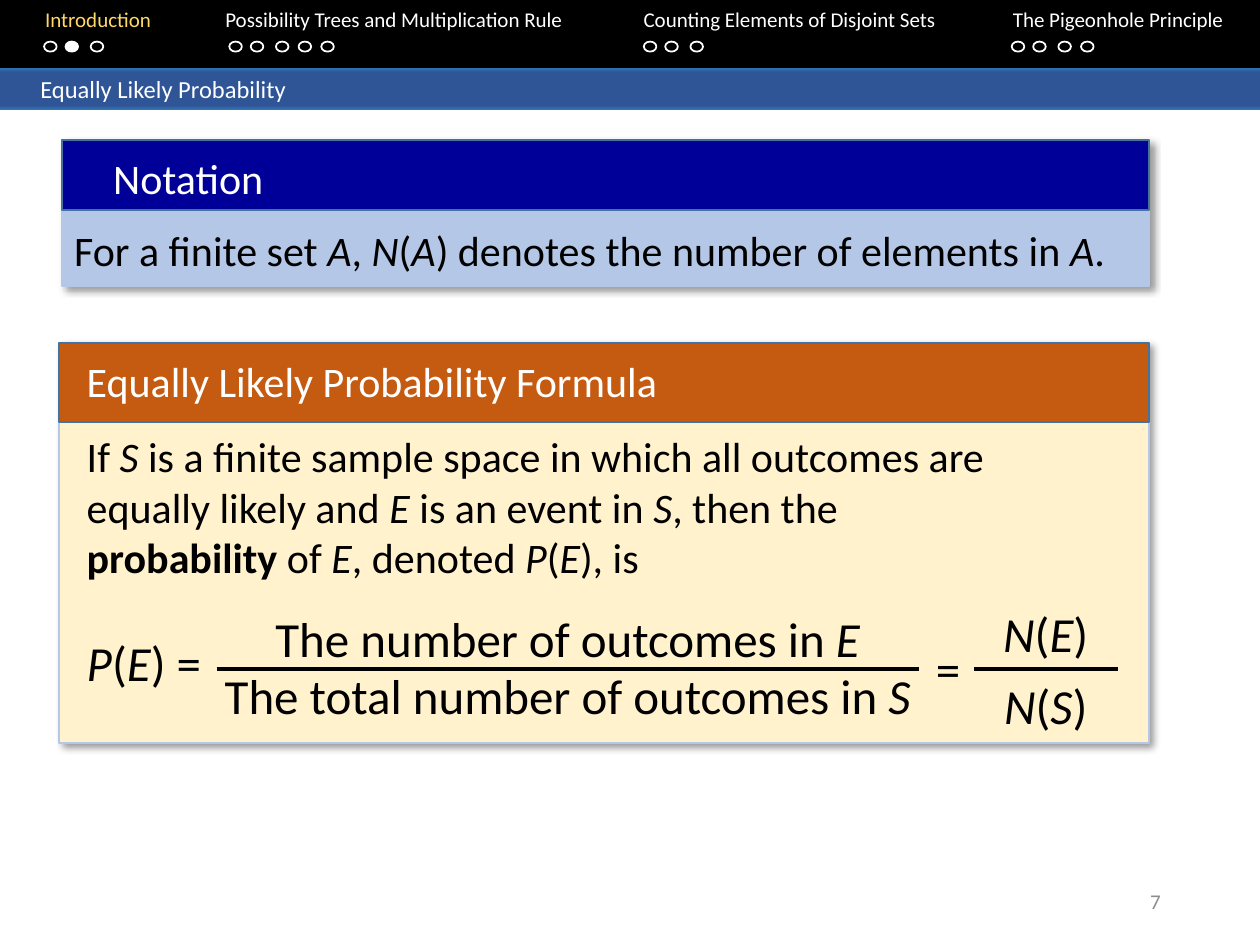
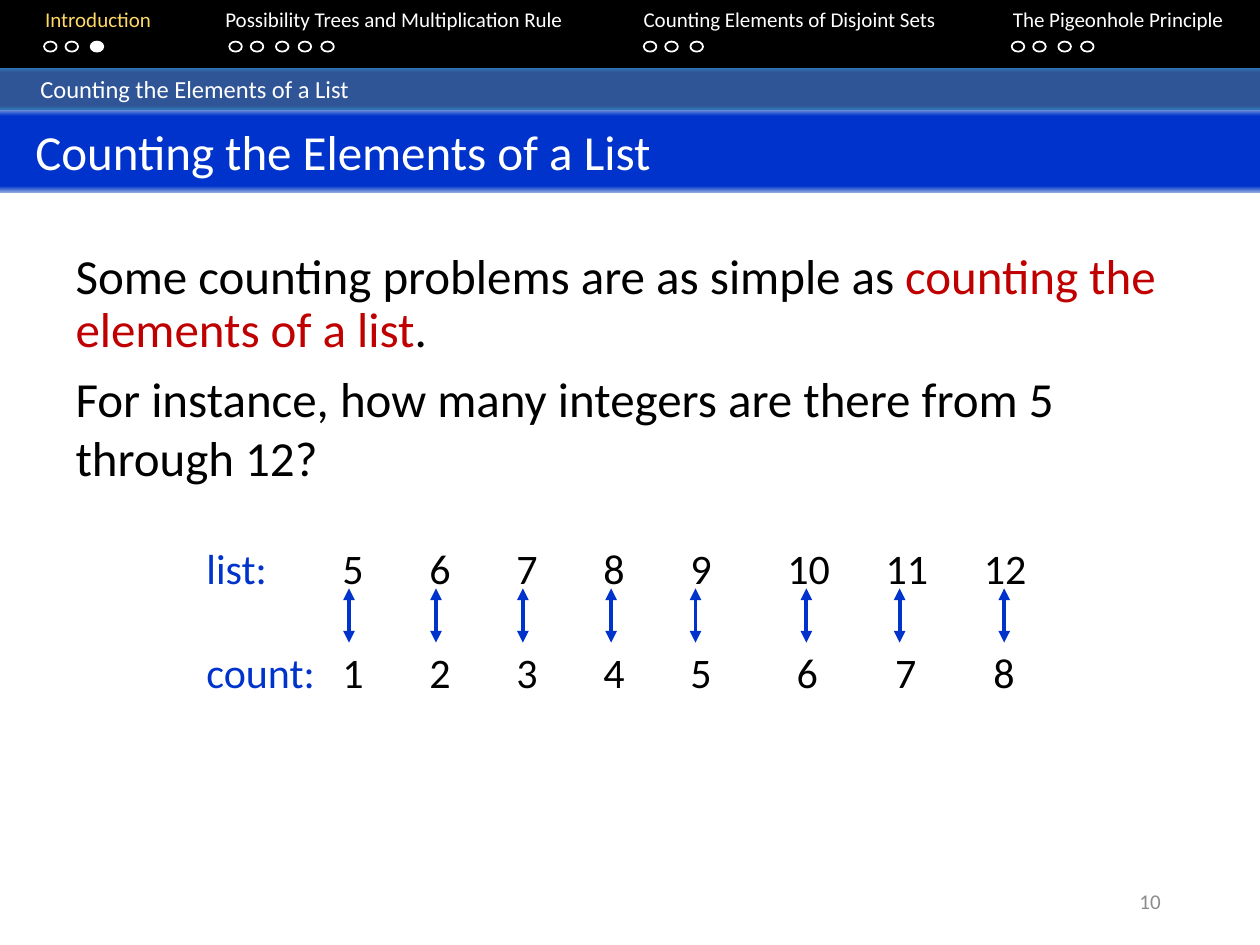
import pptx
import pptx.util
import pptx.dml.color
import pptx.enum.shapes
import pptx.enum.text
import pptx.oxml.ns
from lxml import etree

Inches, Pt = pptx.util.Inches, pptx.util.Pt
qn = pptx.oxml.ns.qn
Align = pptx.enum.text.PP_ALIGN
Anchor = pptx.enum.text.MSO_ANCHOR
Kind = pptx.enum.shapes.MSO_SHAPE
FONT = "Calibri"
HUES = {
    "black": "000000", "white": "FFFFFF", "gold": "FFD966", "gray": "8C8C8C",
    "edge": "2E75B6", "band": "2F5597", "glow": "8FAADC", "blue": "0033CC",
    "pale": "B4C7E7", "navy": "000099", "rim": "43739E", "cream": "FFF2CC",
    "rust": "C55A11", "red": "C00000",
}
PARTS = [
    ("~Introduction~", 0.26, 0.35, 3),
    ("Possibility Trees and Multiplication Rule", 1.69, 1.82, 5),
    ("Counting Elements of Disjoint Sets", 5.01, 5.11, 3),
    ("The Pigeonhole Principle", 7.94, 8.03, 4),
]
STEPS = [0, 0.17, 0.37, 0.55, 0.73]


def hue(name):
    """Return the named colour."""
    return pptx.dml.color.RGBColor.from_string(HUES[name])


def node(parent, tag, **attrs):
    """Append an XML child with the given attributes."""
    return etree.SubElement(parent, qn(tag), {k: str(v) for k, v in attrs.items()})


def place(shape, box):
    """Move a shape to a box given in inches."""
    shape.left, shape.top, shape.width, shape.height = map(Inches, box)


def write(par, text, size, color="black", accent=None, align=Align.LEFT, stops=()):
    """Fill a paragraph; *text* is italic, ~text~ is accented or bold."""
    par.alignment = align
    par.font.name, par.font.size = FONT, Pt(size)
    par.font.color.rgb = hue(color)
    for j, chunk in enumerate(text.split("~")):
        for i, piece in enumerate(chunk.split("*")):
            if not piece:
                continue
            run = par.add_run()
            run.text = piece
            if i % 2:
                run.font.italic = True
            if j % 2 and accent:
                run.font.color.rgb = hue(accent)
            elif j % 2:
                run.font.bold = True
    if stops:
        tabs = etree.Element(qn("a:tabLst"))
        for stop in stops:
            node(tabs, "a:tab", pos=Inches(stop), algn="l")
        props = par._p.get_or_add_pPr()
        props.insert(list(props).index(props.find(qn("a:defRPr"))), tabs)


def label(slide, box, text, size, color="black", **style):
    """Add a text box and return its frame."""
    frame = slide.shapes.add_textbox(*map(Inches, box)).text_frame
    frame.word_wrap = True
    write(frame.paragraphs[0], text, size, color, **style)
    return frame


def block(slide, box, fill=None, line=None, kind=Kind.RECTANGLE):
    """Add a plain preset shape."""
    shape = slide.shapes.add_shape(kind, *map(Inches, box))
    shape.shadow.inherit = False
    if fill:
        shape.fill.solid()
        shape.fill.fore_color.rgb = hue(fill)
    else:
        shape.fill.background()
    if line:
        shape.line.color.rgb = hue(line)
        shape.line.width = Pt(1)
    else:
        shape.line.fill.background()
    return shape


def shade(shape):
    """Cast a soft shadow to the lower right."""
    effects = shape._element.spPr.find(qn("a:effectLst"))
    cast = node(effects, "a:outerShdw", blurRad=Pt(4), dist=Pt(3),
                dir=45 * 60000, algn="tl", rotWithShape=0)
    color = node(cast, "a:srgbClr", val=HUES["black"])
    node(color, "a:alpha", val=40000)


def stroke(slide, start, end, color, heads=False):
    """Draw a straight line, with arrowheads at both ends if asked."""
    line = slide.shapes.add_connector(
        pptx.enum.shapes.MSO_CONNECTOR.STRAIGHT, *map(Inches, start + end))
    line.line.color.rgb = hue(color)
    line.line.width = Pt(2.25)
    if heads:
        for tag in ("a:headEnd", "a:tailEnd"):
            node(line.line._get_or_add_ln(), tag, type="triangle")
    node(line._element.spPr, "a:effectLst")


def band(shape, box, text, size, left, rim, core, cuts):
    """Turn a shape into a full-width band with a blended rim."""
    place(shape, box)
    shape.fill.gradient()
    shape.fill.gradient_angle = 270
    stops = shape._element.spPr.find(qn("a:gradFill")).find(qn("a:gsLst"))
    for old in list(stops):
        stops.remove(old)
    for cut, name in zip((0, *cuts, 100), (rim, core, core, rim)):
        node(node(stops, "a:gs", pos=cut * 1000), "a:srgbClr", val=HUES[name])
    frame = shape.text_frame
    frame.auto_size = pptx.enum.text.MSO_AUTO_SIZE.NONE
    frame.vertical_anchor = Anchor.MIDDLE
    frame.margin_left = Inches(left)
    frame.margin_top = frame.margin_bottom = 0
    write(frame.paragraphs[0], text, size, "white")


def topic(shape, text):
    """Set the thin band that names the topic."""
    band(shape, (0, 0.54, 10, 0.33), text, 14, 0.32, "edge", "band", (11, 91))


def header(slide, now):
    """Draw the section bar with its progress dots."""
    block(slide, (0, -0.02, 10, 0.56), "black")
    names = "".join("\t" + part[0] for part in PARTS)
    label(slide, (0, 0, 10, 0.5), names, 12, "white", accent="gold",
          stops=[part[1] for part in PARTS])
    for part, (_, _, left, count) in enumerate(PARTS):
        for dot, step in enumerate(STEPS[:count]):
            fill = "white" if (part, dot) == now else None
            block(slide, (left + step, 0.33, 0.1, 0.08), fill, "white", Kind.OVAL)


def footer(slide, number):
    """Write the page number."""
    frame = label(slide, (7.06, 6.95, 2.25, 0.4), number, 12, "gray", align=Align.RIGHT)
    frame.vertical_anchor = Anchor.MIDDLE


def panel(slide, box, head, fill, cap):
    """Draw a shaded panel with a coloured head."""
    left, top, width, _ = box
    shade(block(slide, box, fill, "pale"))
    block(slide, (left, top, width, head), cap, "rim")


def notation(slide, box):
    """Fill the notation panel."""
    left, top, width, _ = box
    panel(slide, box, 0.56, "pale", "navy")
    label(slide, (left + 0.31, top + 0.05, 4.63, 0.5), "Notation", 24, "white")
    label(slide, (left, top + 0.62, width, 0.5),
          "For a finite set *A*, *N*(*A*) denotes the number of elements in *A*.", 24)


def ratio(slide, box, upper, lower, rise, drop, pad):
    """Set a centred fraction around a bar."""
    left, bar, width = box
    for text, shift in ((upper, -rise), (lower, drop)):
        label(slide, (left - pad, bar + shift, width + 2 * pad, 0.57), text, 28,
              align=Align.CENTER)
    stroke(slide, (left, bar), (left + width, bar), "black")


def formula(slide, box):
    """Fill the probability formula panel."""
    left, top, _, _ = box
    panel(slide, box, 0.63, "cream", "rust")
    label(slide, (left + 0.12, top + 0.05, 7.1, 0.5),
          "Equally Likely Probability Formula", 24, "white")
    frame = label(slide, (left + 0.12, top + 0.65, 7.57, 2.59),
                  "If *S* is a finite sample space in which all outcomes are equally "
                  "likely and *E* is an event in *S*, then the ~probability~ of *E*, "
                  "denoted *P*(*E*), is", 24)
    par = frame.add_paragraph()
    write(par, "*P*(*E*) =", 28)
    par.space_before = Pt(29)
    bar = top + 2.59
    ratio(slide, (left + 1.25, bar, 5.57), "The number of outcomes in *E*",
          "The total number of outcomes in *S*", 0.53, -0.08, 0.15)
    label(slide, (left + 6.86, bar - 0.29, 0.49, 0.57), "=", 28)
    ratio(slide, (left + 7.26, bar, 1.14), "*N*(*E*)", "*N*(*S*)", 0.57, 0, 0.13)


def prose(shape, box):
    """Write the introduction into the body placeholder."""
    place(shape, box)
    frame = shape.text_frame
    frame.auto_size = pptx.enum.text.MSO_AUTO_SIZE.NONE
    lines = [
        ("Some counting problems are as simple as ~counting the elements of a list~.",
         0.9, 10),
        ("For instance, how many integers are there from 5 through 12?", 1.0, 6),
    ]
    for i, (text, pitch, gap) in enumerate(lines):
        par = frame.add_paragraph() if i else frame.paragraphs[0]
        par.line_spacing, par.space_before = pitch, Pt(gap)
        props = par._p.get_or_add_pPr()
        props.set("marL", "0")
        props.set("indent", "0")
        node(props, "a:buNone")
        write(par, text, 28, accent="red")


def match(slide, box):
    """Pair each listed number with its count."""
    left, top, width = box
    stops = [1.08 + 0.69 * i for i in range(5)] + [4.61 + 0.78 * i for i in range(3)]
    rows = [("list:", range(5, 13), 0), ("count:", [1, 2, 3, 4, 5, " 6", " 7", " 8"], 0.82)]
    for name, cells, drop in rows:
        text = f"~{name}~" + "".join(f"\t{cell}" for cell in cells)
        label(slide, (left, top + drop, width, 0.5), text, 24, accent="blue", stops=stops)
    for shift in (1.23, 1.92, 2.61, 3.31, 3.98, 4.86, 5.6, 6.43):
        stroke(slide, (left + shift, top + 0.41), (left + shift, top + 0.84), "blue", True)


def chance(deck):
    """Build the probability slide."""
    slide = deck.slides.add_slide(deck.slide_layouts[5])
    header(slide, (0, 1))
    topic(slide.shapes.title, "Equally Likely Probability")
    notation(slide, (0.49, 1.11, 8.63, 1.16))
    formula(slide, (0.47, 2.72, 8.65, 3.18))
    footer(slide, "7")


def count(deck):
    """Build the list counting slide."""
    slide = deck.slides.add_slide(deck.slide_layouts[1])
    name = "Counting the Elements of a List"
    header(slide, (0, 2))
    topic(block(slide, (0, 0.54, 10, 0.33)), name)
    band(slide.shapes.title, (0, 0.86, 10, 0.67), name, 28, 0.28, "glow", "blue", (9, 92))
    prose(slide.placeholders[1], (0.5, 1.95, 9, 3.03))
    match(slide, (1.54, 4.26, 6.97))
    footer(slide, "10")


def main():
    """Build and save the deck."""
    deck = pptx.Presentation()
    deck.slide_width, deck.slide_height = Inches(10), Inches(7.5)
    chance(deck)
    count(deck)
    deck.save("out.pptx")


if __name__ == "__main__":
    main()
